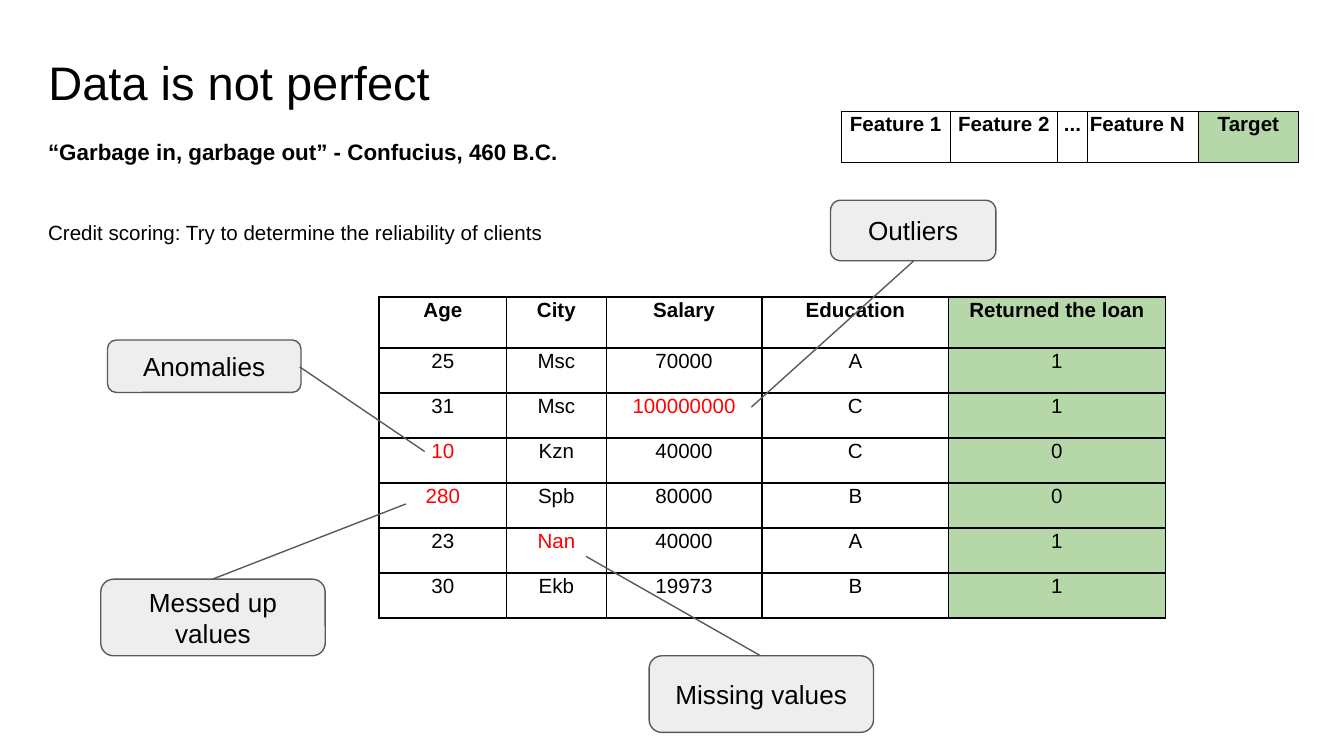
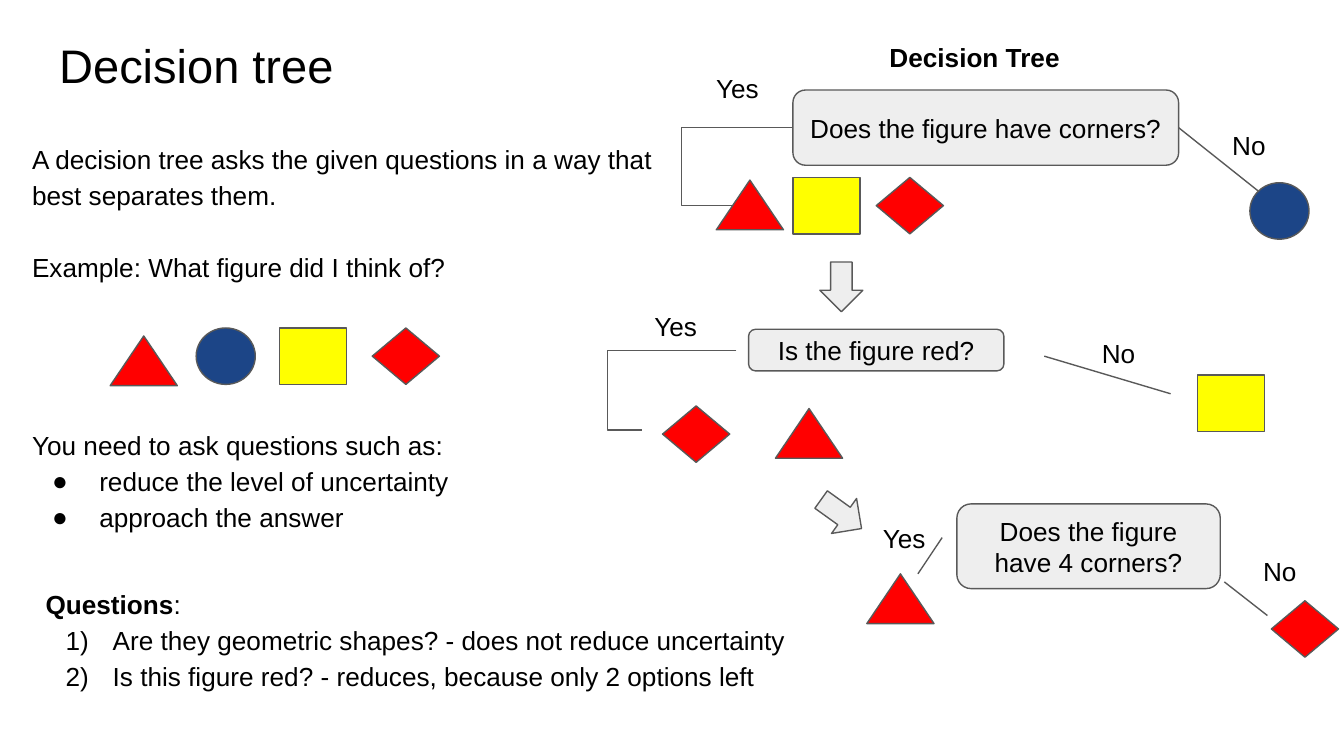
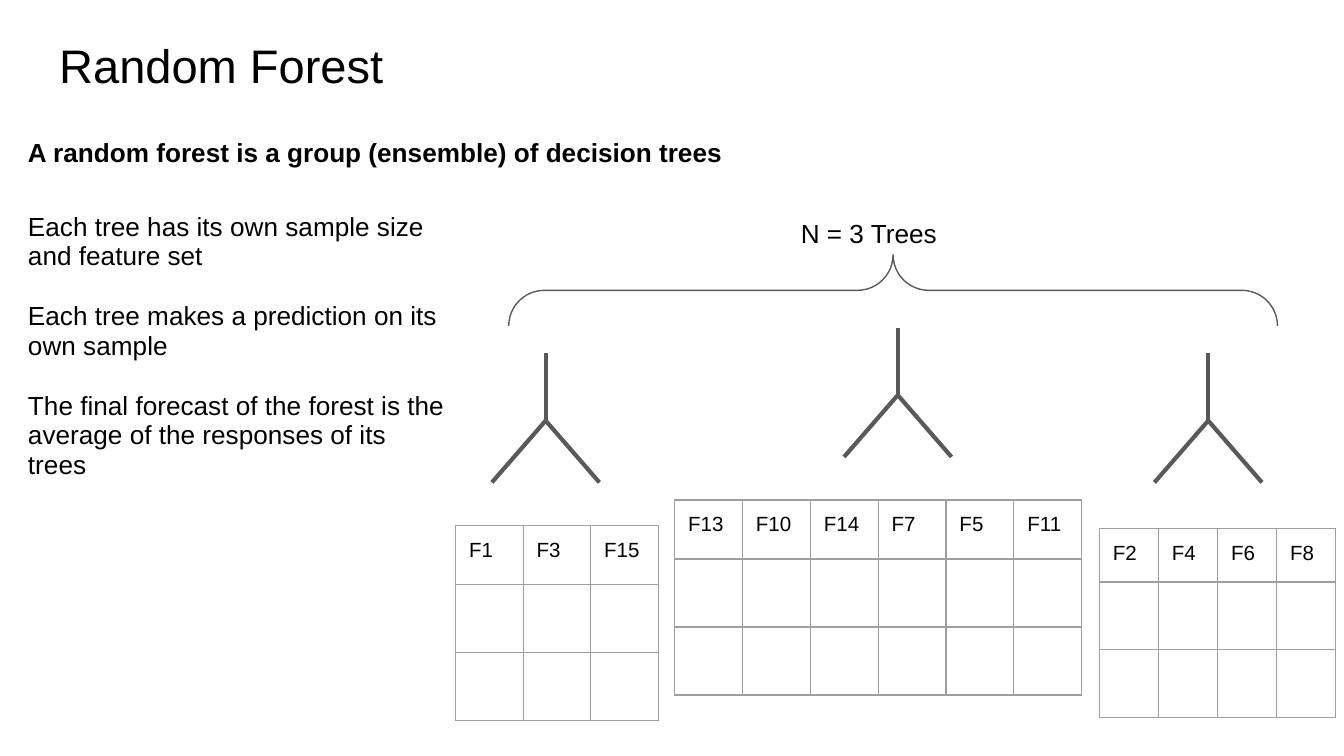
from lxml.etree import SubElement
from pptx import Presentation
from pptx.dml.color import RGBColor
from pptx.enum.shapes import MSO_CONNECTOR as Link, MSO_SHAPE as Shape
from pptx.enum.text import MSO_ANCHOR as Anchor, MSO_AUTO_SIZE as AutoSize, PP_ALIGN as Align
from pptx.oxml.ns import qn
from pptx.util import Inches, Pt

THEME = {
    "font": "Arial",
    "ink": "000000", "line": "595959", "panel": "EEEEEE", "grid": "9E9E9E",
    "target": "B6D7A8", "red": "FF0000", "blue": "1C4587", "yellow": "FFFF00",
    "title": 25.2, "body": 14, "quote": 12, "small": 11,
    "thin": 0.75, "thick": 2.25,
}

deck = Presentation()
deck.slide_width, deck.slide_height = Inches(10), Inches(5.625)
GRID = deck.slide_width // 100  # square cells: the slide is 100 columns wide


def span_of(*cells):
    """Turn counts of grid columns or rows into lengths."""
    return [round(count * GRID) for count in cells]


def write(frame, lines, size="body", bold=False, color="ink", align=Align.LEFT,
          spacing=None, gap=0, inset=1, anchor=Anchor.TOP):
    """Fill a text frame with one paragraph per line, all in one style."""
    frame.word_wrap = True
    frame.auto_size = AutoSize.NONE
    frame.vertical_anchor = anchor
    frame.margin_left = frame.margin_right = frame.margin_top = frame.margin_bottom = inset * GRID
    frame.text = "\n".join(lines)
    for para in frame.paragraphs:
        para.alignment = align
        para.space_after = Pt(gap)
        if spacing:
            para.line_spacing = spacing
        for span in para.runs:
            span.font.name, span.font.bold = THEME["font"], bold
            span.font.size = Pt(THEME[size])
            span.font.color.rgb = RGBColor.from_string(THEME[color])


# Slides and titles
pages = []
for heading, place in [
    ("Data is not perfect", (2.6, 3, 38.2, 6.3)),
    ("Decision tree", (3.4, 1.7, 37.8, 6.3)),
    ("Random Forest", (3.4, 1.7, 37.8, 6.3)),
]:
    page = deck.slides.add_slide(deck.slide_layouts[5])
    title = page.shapes.title
    title.left, title.top, title.width, title.height = span_of(*place)
    write(title.text_frame, [heading], "title")
    pages.append(page)
data_page, tree_page, forest_page = pages

# Tables: page, corner, column widths, row heights, cell texts, style
clients = [
    ["Age", "City", "Salary", "Education", "Returned the loan"],
    ["25", "Msc", "70000", "A", "1"],
    ["31", "Msc", "100000000", "C", "1"],
    ["10", "Kzn", "40000", "C", "0"],
    ["280", "Spb", "80000", "B", "0"],
    ["23", "Nan", "40000", "A", "1"],
    ["30", "Ekb", "19973", "B", "1"],
]
features = [["Feature 1", "Feature 2", "...", "Feature N", "Target"]]
flawed = {"100000000", "10", "280", "Nan"}
tables = [
    (data_page, (28.2, 22.1), (9.5, 7.4, 11.6, 13.9, 16.1), (3.8,) + (3.35,) * 6, clients, "data"),
    (data_page, (62.6, 8.3), (8.1, 8.0, 2.2, 8.3, 7.4), (3.8,), features, "data"),
]
for corner, width, height, names in [
    ((33.9, 39.1), 5.03, 4.4, "F1 F3 F15"),
    ((81.8, 39.3), 4.4, 4, "F2 F4 F6 F8"),
    ((50.2, 37.2), 5.05, 4.4, "F13 F10 F14 F7 F5 F11"),
]:
    header = names.split()
    blank = [""] * len(header)
    tables.append((forest_page, corner, (width,) * len(header), (height,) * 3,
                   [header, blank, blank], "sample"))

for page, corner, widths, heights, texts, style in tables:
    is_data = style == "data"
    table = page.shapes.add_table(len(heights), len(widths), *span_of(
        *corner, sum(widths), sum(heights))).table
    table.first_row = table.horz_banding = False
    for column, width in zip(table.columns, span_of(*widths)):
        column.width = width
    for row, height in zip(table.rows, span_of(*heights)):
        row.height = height
    for row_index, row_texts in enumerate(texts):
        for column_index, text in enumerate(row_texts):
            cell = table.cell(row_index, column_index)
            cell.margin_left = cell.margin_right = GRID * (not is_data)
            cell.margin_top = cell.margin_bottom = GRID * (not is_data)
            cell.text = text
            para = cell.text_frame.paragraphs[0]
            if is_data:
                para.alignment = Align.LEFT if text == "Feature N" else Align.CENTER
                para.line_spacing = 1.08
                if text == "Feature N":
                    cell.margin_left = GRID // 5
            for span in para.runs:
                span.font.name, span.font.size = THEME["font"], Pt(THEME["small"])
                span.font.bold = is_data and row_index == 0
                span.font.color.rgb = RGBColor.from_string(
                    THEME["red" if text in flawed else "ink"])
            properties = cell._tc.get_or_add_tcPr()
            for side in ("a:lnL", "a:lnR", "a:lnT", "a:lnB"):
                border = SubElement(properties, qn(side), w=str(Pt(THEME["thin"])))
                fill = SubElement(border, qn("a:solidFill"))
                SubElement(fill, qn("a:srgbClr"), val=THEME["ink" if is_data else "grid"])
            if is_data and column_index == len(widths) - 1:
                cell.fill.solid()
                cell.fill.fore_color.rgb = RGBColor.from_string(THEME["target"])
            else:
                cell.fill.background()

# Shapes: page, preset, place, fill, rotation, text
shapes = [
    (page, Shape.ROUNDED_RECTANGLE, place, "panel", 0, text) for page, place, text in [
        (data_page, (48.3, 48.8, 16.7, 5.7), "Missing values"),
        (data_page, (7.5, 43.1, 16.7, 5.7), "Messed up values"),
        (data_page, (8, 25.3, 14.4, 3.9), "Anomalies"),
        (data_page, (61.8, 14.9, 12.3, 4.5), "Outliers"),
        (tree_page, (59, 6.7, 28.7, 5.6), "Does the figure have corners?"),
        (tree_page, (55.7, 24.5, 19, 3.1), "Is the figure red?"),
        (tree_page, (71.2, 37.5, 19.6, 6.3), "Does the figure have 4 corners?"),
    ]
]
figures = {
    "triangle": (Shape.ISOSCELES_TRIANGLE, (5, 3.7), "red"),
    "circle": (Shape.OVAL, (4.4, 4.2), "blue"),
    "square": (Shape.RECTANGLE, (5, 4.2), "yellow"),
    "diamond": (Shape.DIAMOND, (5, 4.2), "red"),
}
for name, corners in {
    "triangle": [(8.2, 25), (53.3, 13.4), (57.7, 30.4), (64.5, 42.7)],
    "circle": [(14.6, 24.4), (93, 13.6)],
    "square": [(20.8, 24.4), (59, 13.2), (89.1, 27.9)],
    "diamond": [(27.7, 24.4), (65.2, 13.2), (49.3, 30.2), (94.6, 44.7)],
}.items():
    preset, size, color = figures[name]
    shapes += [(tree_page, preset, corner + size, color, 0, "") for corner in corners]
shapes += [
    (tree_page, Shape.DOWN_ARROW, (61, 19.5, 3.2, 3.7), "panel", 0, ""),
    (tree_page, Shape.DOWN_ARROW, (61, 36.4, 3.2, 3.7), "panel", 305.6, ""),
    (forest_page, Shape.RIGHT_BRACE, (63.8, -7, 5.3, 57.2), None, 270, ""),
]
for page, preset, place, color, rotation, text in shapes:
    box = page.shapes.add_shape(preset, *span_of(*place))
    box.shadow.inherit = False
    box.rotation = rotation
    box.line.color.rgb = RGBColor.from_string(THEME["line"])
    box.line.width = Pt(THEME["thin"])
    if color:
        box.fill.solid()
        box.fill.fore_color.rgb = RGBColor.from_string(THEME[color])
    else:
        box.fill.background()
    if preset == Shape.RIGHT_BRACE:
        box.adjustments[0] = 0.5
    if text:
        write(box.text_frame, [text], align=Align.CENTER, anchor=Anchor.MIDDLE)

# Connectors: page, start, end, column of the bend, weight
connectors = [
    (data_page, (56.6, 48.8), (43.6, 41.4), None, "thin"),
    (data_page, (15.8, 43.1), (30.2, 37.5), None, "thin"),
    (data_page, (22.3, 27.3), (31.6, 33.6), None, "thin"),
    (data_page, (55.9, 30.3), (68, 19.4), None, "thin"),
    (tree_page, (59, 9.5), (54.5, 15.3), 50.7, "thin"),
    (tree_page, (87.7, 9.5), (93.6, 14.2), None, "thin"),
    (tree_page, (77.7, 26.5), (87.1, 29.3), None, "thin"),
    (tree_page, (91.1, 43.3), (94.3, 45.8), None, "thin"),
    (tree_page, (54.8, 26.1), (47.8, 32), 45.2, "thin"),
    (tree_page, (70.1, 40), (68.3, 42.7), None, "thin"),
]
for x, y in [(40.6, 26.3), (89.9, 26.3), (66.8, 24.4)]:
    fork = (x, y + 5)
    for start, end in [((x, y), fork), (fork, (x - 4, y + 9.6)), (fork, (x + 4, y + 9.6))]:
        connectors.append((forest_page, start, end, None, "thick"))

for page, start, end, bend, weight in connectors:
    kind = Link.ELBOW if bend else Link.STRAIGHT
    link = page.shapes.add_connector(kind, *span_of(*start, *end))
    link.line.color.rgb = RGBColor.from_string(THEME["line"])
    link.line.width = Pt(THEME[weight])
    properties = link._element.spPr
    SubElement(properties, qn("a:effectLst"))
    if bend:
        share = round((start[0] - bend) / (start[0] - end[0]) * 100000)
        guides = properties.find(qn("a:prstGeom")).find(qn("a:avLst"))
        SubElement(guides, qn("a:gd"), name="adj1", fmla=f"val {share}")

# Plain text: page, place, paragraphs, style
texts = [
    (data_page, (2.6, 15.4, 50.4, 3.9),
     ["Credit scoring: Try to determine the reliability of clients"], {"size": "small"}),
    (data_page, (2.6, 9.3, 57.4, 4),
     ["“Garbage in, garbage out” - Confucius, 460 B.C."], {"size": "quote", "bold": True}),
    (tree_page, (1.4, 9.3, 49.3, 13.9),
     ["A decision tree asks the given questions in a way that best separates them.",
      "Example: What figure did I think of?"], {"spacing": 1.15, "gap": 19.3}),
    (tree_page, (65.2, 1.7, 19.6, 4.4), ["Decision Tree"], {"spacing": 1.15, "bold": True}),
    (forest_page, (1.1, 8.8, 61.7, 5.2),
     ["A random forest is a group (ensemble) of decision trees"],
     {"spacing": 1.15, "bold": True}),
    (forest_page, (1.1, 14.8, 33.2, 22.5),
     ["Each tree has its own sample size and feature set",
      "Each tree makes a prediction on its own sample",
      "The final forecast of the forest is the average of the responses of its trees"],
     {"spacing": 0.95, "gap": 16}),
    (forest_page, (58.6, 14.8, 15.8, 4.4), ["N = 3 Trees"], {"spacing": 1.15}),
]
for answer, corners in {
    "No": [(90.7, 8.6), (81, 24.1), (93, 40.3)],
    "Yes": [(52.3, 4.4), (47.7, 22.1), (64.7, 37.9)],
}.items():
    texts += [(tree_page, corner + (6, 4.4), [answer], {}) for corner in corners]
for page, place, lines, style in texts:
    box = page.shapes.add_textbox(*span_of(*place))
    write(box.text_frame, lines, **style)

# Lists: place, heading, items, marker tag and its attributes
for place, lines, marker, attributes in [
    ((1.4, 30.6, 41.9, 12.3),
     ["You need to ask questions such as:", "reduce the level of uncertainty",
      "approach the answer"], "a:buChar", {"char": "●"}),
    ((2.4, 42.4, 73.5, 12.3),
     ["Questions", "Are they geometric shapes? - does not reduce uncertainty",
      "Is this figure red? - reduces, because only 2 options left"],
     "a:buAutoNum", {"type": "arabicParenR"}),
]:
    frame = tree_page.shapes.add_textbox(*span_of(*place)).text_frame
    write(frame, lines, spacing=1.15)
    for para in frame.paragraphs[1:]:
        properties = para._p.get_or_add_pPr()
        properties.set("marL", str(5 * GRID))
        properties.set("indent", str(round(-3.5 * GRID)))
        SubElement(properties, qn("a:buFont"), typeface=THEME["font"])
        SubElement(properties, qn(marker), **attributes)
    if lines[0] == "Questions":
        para = frame.paragraphs[0]
        para.runs[0].font.bold = True
        span = para.add_run()
        span.text = ":"
        span.font.name, span.font.size = THEME["font"], Pt(THEME["body"])
        span.font.color.rgb = RGBColor.from_string(THEME["ink"])

deck.save("out.pptx")
